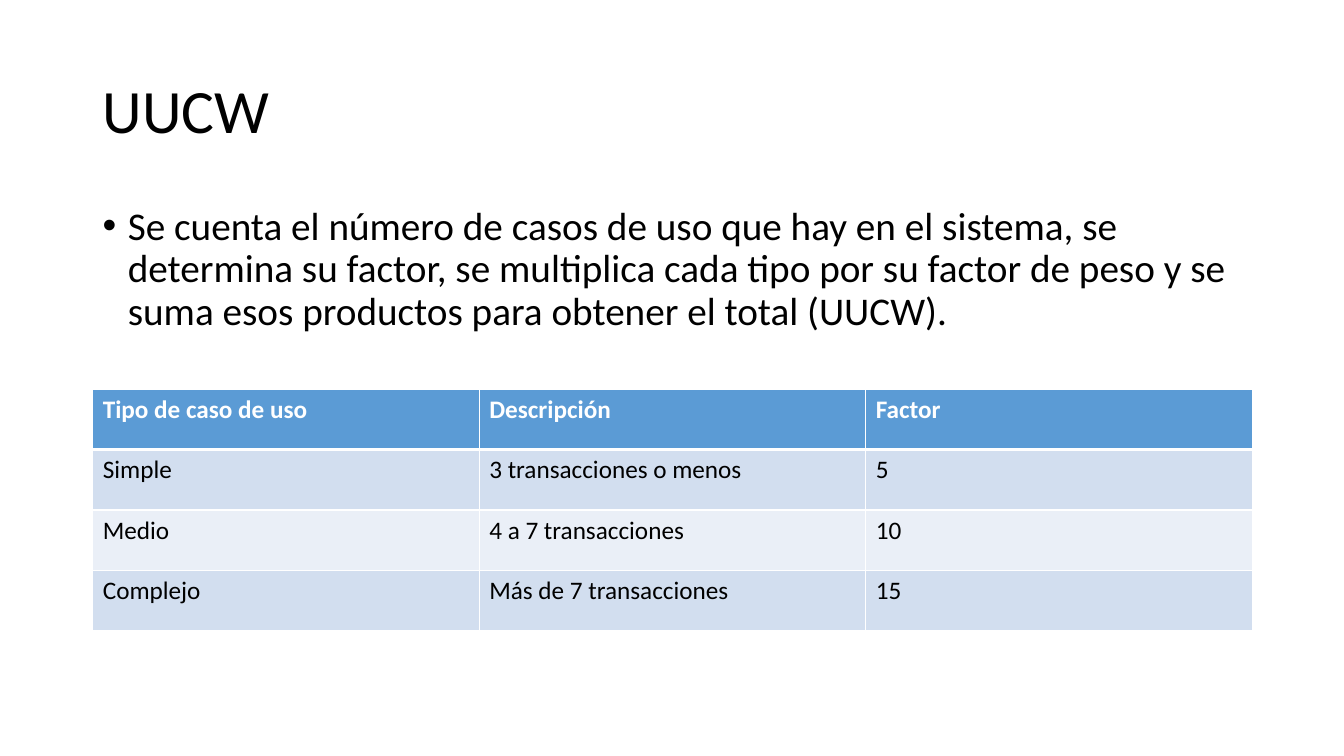
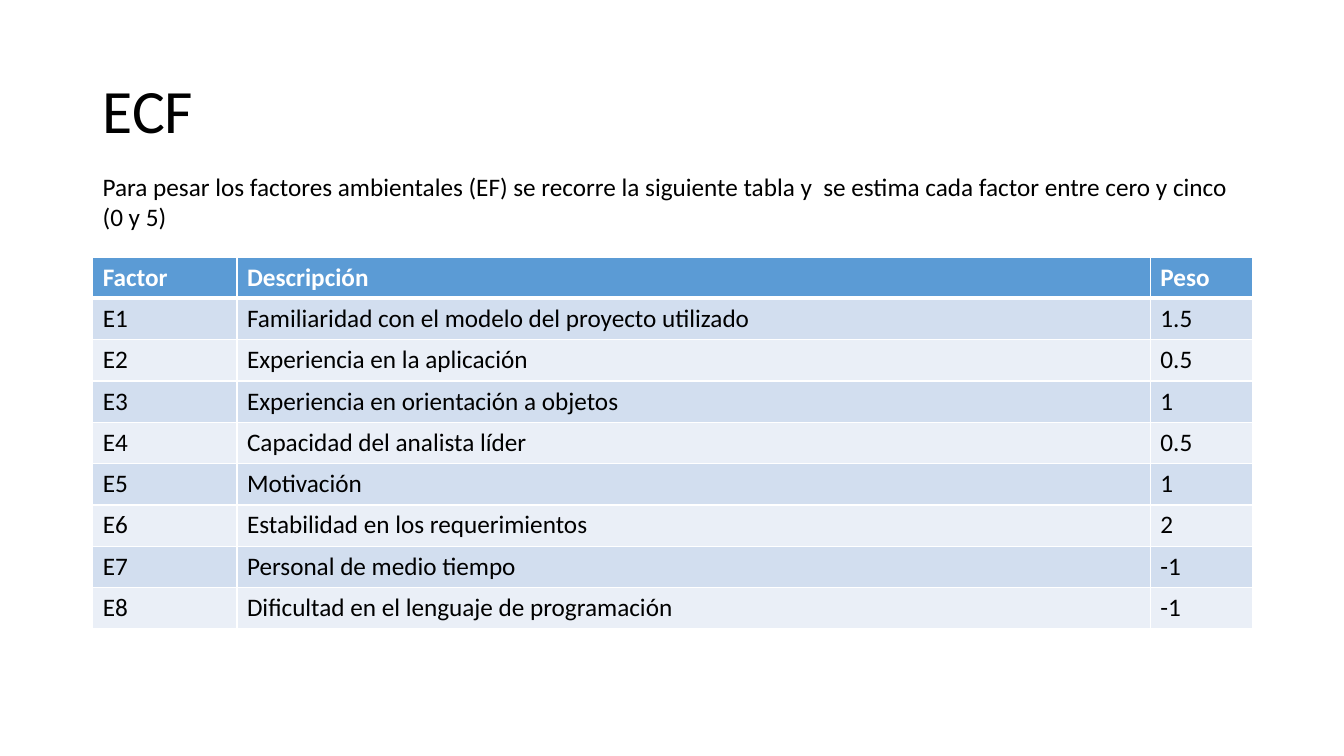
"""Build two slides on use case points, each with a title, a text and a table."""
from dataclasses import dataclass

from lxml import etree
from pptx import Presentation
from pptx import util as u
from pptx.dml.color import RGBColor
from pptx.enum import text
from pptx.oxml.ns import qn


@dataclass(frozen=True)
class Theme:
    font: str = "Calibri"
    ink: str = "000000"
    paper: str = "FFFFFF"
    head: str = "5B9BD5"
    bands: tuple = ("D2DEEF", "EAEFF7")
    title: int = 44
    body: int = 28
    small: int = 18
    thin: int = 1
    thick: int = 3
    left: float = 0.92
    width: float = 11.5


theme = Theme()


def write(frame, words, size, color=theme.ink, bold=False):
    """Add one styled run to the first paragraph and return the paragraph."""
    para = frame.paragraphs[0]
    run = para.add_run()
    run.text = words
    font = run.font
    font.name, font.size, font.bold = theme.font, u.Pt(size), bold
    font.color.rgb = RGBColor.from_string(color)
    return para


def add_text(slide, top, height, words, size, anchor=text.MSO_ANCHOR.TOP):
    """Add a wrapped text box across the content width and return its paragraph."""
    box = slide.shapes.add_textbox(
        u.Inches(theme.left), u.Inches(top), u.Inches(theme.width), u.Inches(height))
    frame = box.text_frame
    frame.word_wrap = True
    frame.vertical_anchor = anchor
    return write(frame, words, size)


pages = [
    {
        "title": "UUCW",
        "text": "Se cuenta el número de casos de uso que hay en el sistema, se determina "
                "su factor, se multiplica cada tipo por su factor de peso y se suma esos "
                "productos para obtener el total (UUCW).",
        "place": (2, 4.76), "size": theme.body, "bullet": True,
        "top": 3.86, "row": 0.6, "cols": [theme.width / 3] * 3,
        "rows": [
            ("Tipo de caso de uso", "Descripción", "Factor"),
            ("Simple", "3 transacciones o menos", "5"),
            ("Medio", "4 a 7 transacciones", "10"),
            ("Complejo", "Más de 7 transacciones", "15"),
        ],
    },
    {
        "title": "ECF",
        "text": "Para pesar los factores ambientales (EF) se recorre la siguiente tabla y  "
                "se estima cada factor entre cero y cinco (0 y 5)",
        "place": (1.65, 0.71), "size": theme.small, "bullet": False,
        "top": 2.55, "row": 0.41, "cols": [1.43, 9.06, 1.01],
        "rows": [
            ("Factor", "Descripción", "Peso"),
            ("E1", "Familiaridad con el modelo del proyecto utilizado", "1.5"),
            ("E2", "Experiencia en la aplicación", "0.5"),
            ("E3", "Experiencia en orientación a objetos", "1"),
            ("E4", "Capacidad del analista líder", "0.5"),
            ("E5", "Motivación", "1"),
            ("E6", "Estabilidad en los requerimientos", "2"),
            ("E7", "Personal de medio tiempo", "-1"),
            ("E8", "Dificultad en el lenguaje de programación", "-1"),
        ],
    },
]

deck = Presentation()
deck.slide_width, deck.slide_height = u.Inches(13.33), u.Inches(7.5)

for page in pages:
    slide = deck.slides.add_slide(deck.slide_layouts[6])
    title = add_text(slide, 0.4, 1.45, page["title"], theme.title, text.MSO_ANCHOR.MIDDLE)
    title.line_spacing = 0.9

    para = add_text(slide, *page["place"], page["text"], page["size"])
    if page["bullet"]:
        para.line_spacing, para.space_before = 0.9, u.Pt(10)
        props = para._p.get_or_add_pPr()
        props.set("marL", str(u.Inches(0.25)))
        props.set("indent", str(u.Inches(-0.25)))
        etree.SubElement(props, qn("a:buFont"), typeface="Arial")
        etree.SubElement(props, qn("a:buChar"), char="•")

    rows, cols = page["rows"], page["cols"]
    table = slide.shapes.add_table(
        len(rows), len(cols), u.Inches(theme.left), u.Inches(page["top"]),
        u.Inches(theme.width), u.Inches(page["row"] * len(rows))).table
    for col, width in zip(table.columns, cols):
        col.width = u.Inches(width)
    for r, row in enumerate(rows):
        table.rows[r].height = u.Inches(page["row"])
        head = r == 0
        fill = theme.head if head else theme.bands[(r - 1) % 2]
        color = theme.paper if head else theme.ink
        for c, words in enumerate(row):
            cell = table.cell(r, c)
            write(cell.text_frame, words, theme.small, color, head)
            props = cell._tc.get_or_add_tcPr()
            for side in "LRTB":
                heavy = (r, side) in ((0, "B"), (1, "T"))
                width = u.Pt(theme.thick if heavy else theme.thin)
                line = etree.SubElement(props, qn(f"a:ln{side}"), w=str(width))
                solid = etree.SubElement(line, qn("a:solidFill"))
                etree.SubElement(solid, qn("a:srgbClr"), val=theme.paper)
            cell.fill.solid()
            cell.fill.fore_color.rgb = RGBColor.from_string(fill)

deck.save("out.pptx")
